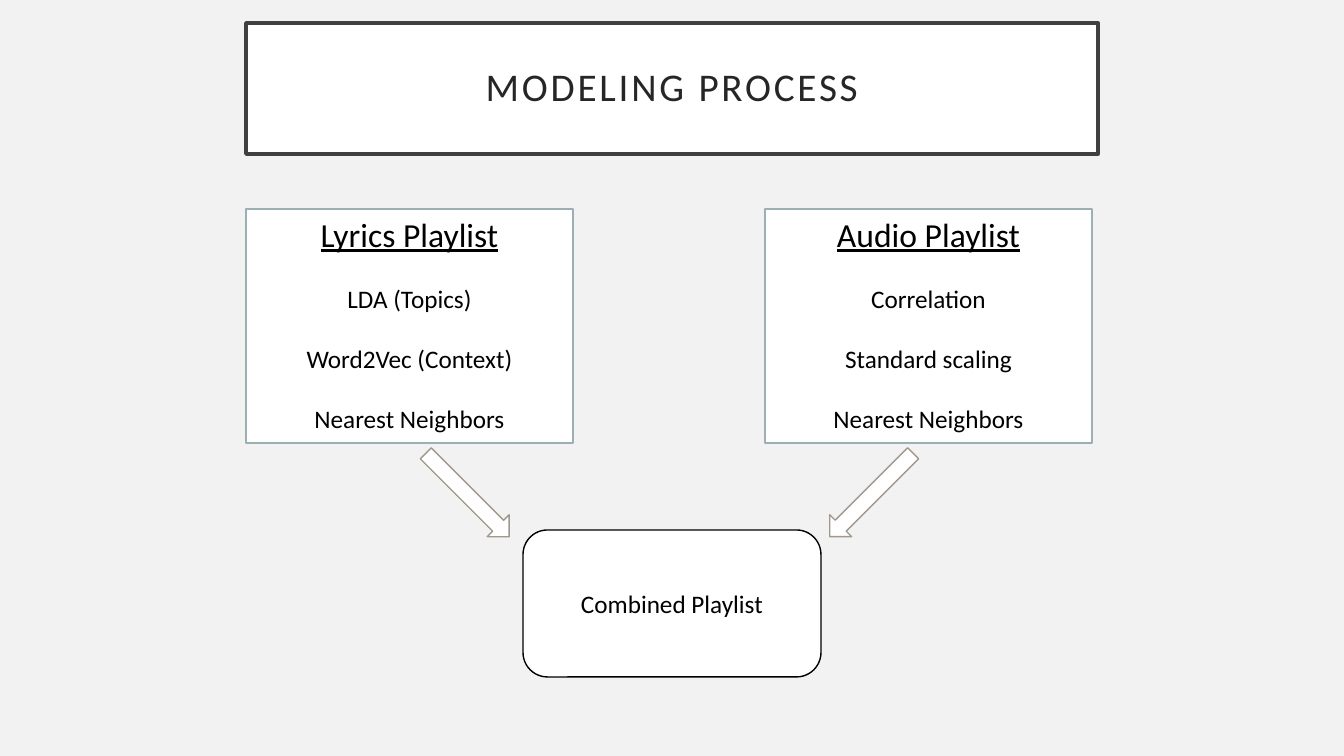
from pptx import Presentation
from pptx.dml.color import RGBColor
from pptx.enum.shapes import MSO_SHAPE as Shape
from pptx.enum.text import MSO_ANCHOR as Anchor, PP_ALIGN as Align
from pptx.util import Pt

EMU_PER_PX = 914400 / 100.8
FONT = "Calibri"

WHITE = RGBColor(0xFF, 0xFF, 0xFF)
BLACK = RGBColor(0x00, 0x00, 0x00)
BACKGROUND = RGBColor(0xF2, 0xF2, 0xF2)
TITLE_TEXT = RGBColor(0x26, 0x26, 0x26)
TITLE_LINE = RGBColor(0x40, 0x40, 0x40)
PLAYLIST_LINE = RGBColor(0x9B, 0xAF, 0xB5)
ARROW_LINE = RGBColor(0xA0, 0x98, 0x8C)


def px(length):
    return round(length * EMU_PER_PX)


def write(paragraph, text, size=18, color=BLACK, underline=False,
          before=0, line_spacing=None, tracking=0):
    paragraph.alignment = Align.CENTER
    paragraph.space_before = Pt(before)
    if line_spacing:
        paragraph.line_spacing = line_spacing
    run = paragraph.add_run()
    run.text = text
    font = run.font
    font.name = FONT
    font.size = Pt(size)
    font.color.rgb = color
    font.underline = underline
    if tracking:
        font._element.set("spc", str(tracking * 100))


class ProcessSlide:
    def __init__(self, presentation):
        self.slide = presentation.slides.add_slide(presentation.slide_layouts[6])
        fill = self.slide.background.fill
        fill.solid()
        fill.fore_color.rgb = BACKGROUND

    def box(self, kind, left, top, width, height, line, line_width=1, anchor=Anchor.MIDDLE):
        shape = self.slide.shapes.add_shape(kind, px(left), px(top), px(width), px(height))
        shape.shadow.inherit = False
        shape.fill.solid()
        shape.fill.fore_color.rgb = WHITE
        shape.line.color.rgb = line
        shape.line.width = Pt(line_width)
        shape.text_frame.word_wrap = True
        shape.text_frame.vertical_anchor = anchor
        return shape

    def title(self, text):
        shape = self.box(Shape.RECTANGLE, 246, 23, 852, 131, TITLE_LINE, 2.5)
        write(shape.text_frame.paragraphs[0], text, size=28, color=TITLE_TEXT,
              line_spacing=0.9, tracking=2)

    def playlist(self, left, heading, steps):
        shape = self.box(Shape.RECTANGLE, left, 209, 327, 234, PLAYLIST_LINE, anchor=Anchor.TOP)
        frame = shape.text_frame
        write(frame.paragraphs[0], heading, size=24, underline=True)
        for step in steps:
            write(frame.add_paragraph(), step, before=21)

    def arrow(self, left, rotation):
        shape = self.box(Shape.DOWN_ARROW, left, 436, 31, 118, ARROW_LINE)
        shape.rotation = rotation

    def result(self, text):
        shape = self.box(Shape.ROUNDED_RECTANGLE, 523, 530, 298, 147, BLACK)
        write(shape.text_frame.paragraphs[0], text)


def main():
    presentation = Presentation()
    presentation.slide_width = px(1344)
    presentation.slide_height = px(756)
    process = ProcessSlide(presentation)

    # Title
    process.title("MODELING PROCESS")

    # The two source playlists, each with an arrow to the result
    process.playlist(246, "Lyrics Playlist",
                     ["LDA (Topics)", "Word2Vec (Context)", "Nearest Neighbors"])
    process.arrow(452, 315)
    process.playlist(765, "Audio Playlist",
                     ["Correlation", "Standard scaling", "Nearest Neighbors"])
    process.arrow(856, 45)

    # Result
    process.result("Combined Playlist")

    presentation.save("out.pptx")


if __name__ == "__main__":
    main()
